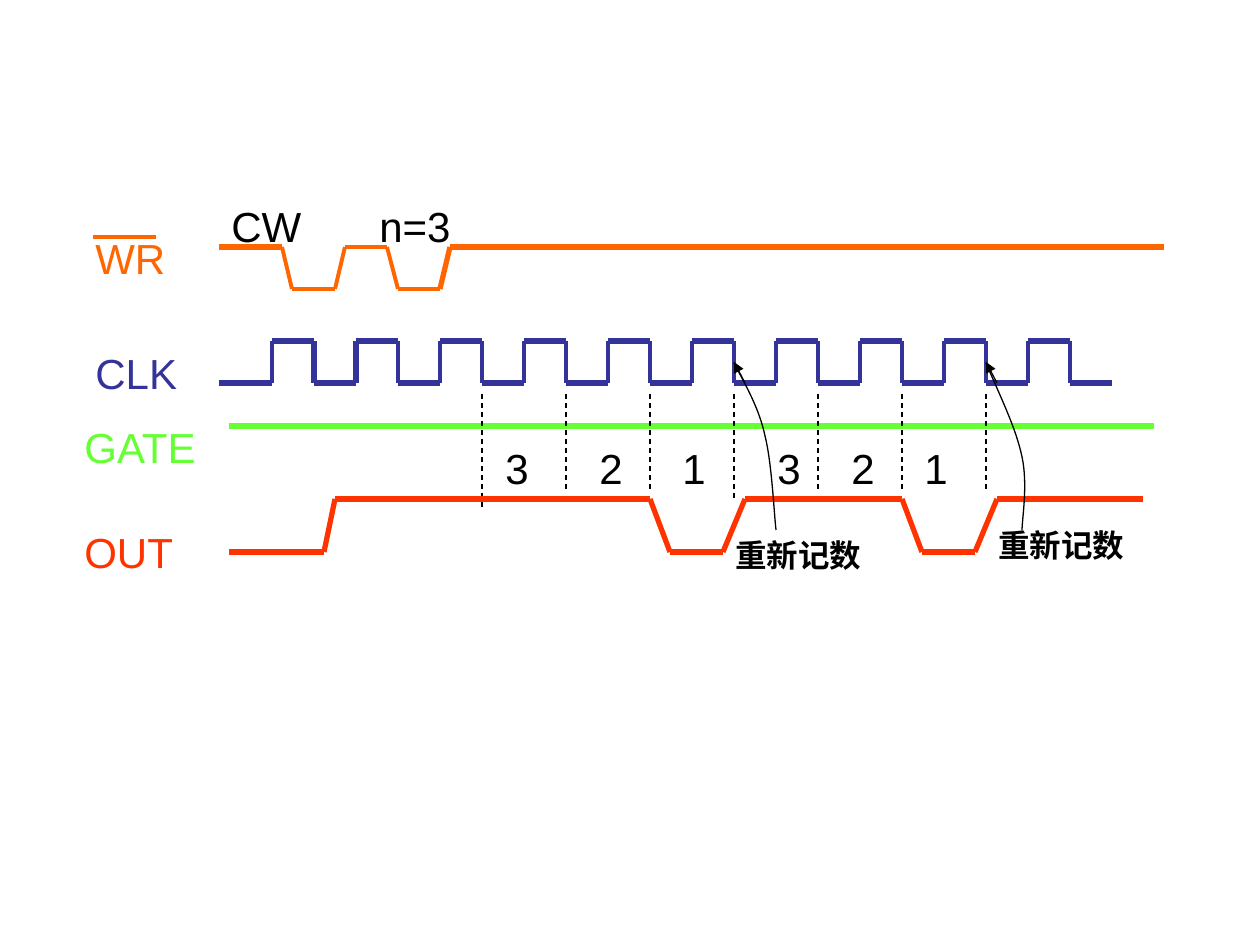
"""Draw a counter timing diagram with WR, CLK, GATE and OUT signals."""
from dataclasses import dataclass
from itertools import pairwise

from lxml import etree
from pptx import Presentation
from pptx import util as u
from pptx.dml.color import RGBColor
from pptx.enum import dml, text
from pptx.oxml.ns import qn


@dataclass(frozen=True)
class Theme:
    font: str = "Arial"
    wr: str = "FF6600"
    clk: str = "333399"
    gate: str = "66FF33"
    out: str = "FF3300"
    ink: str = "000000"
    label_size: int = 24
    note_size: int = 18
    thick: float = 3
    medium: float = 2.25
    thin: float = 0.75


class Diagram:
    SCALE = u.Inches(1) / 126

    def __init__(self, slide, theme):
        self.shapes = slide.shapes
        self.theme = theme

    def emu(self, *lengths):
        return [round(length * self.SCALE) for length in lengths]

    def line(self, start, end, color, width, dashed=False, arrow=False):
        edge = self.shapes.add_connector(1, *self.emu(*start, *end))
        edge.line.color.rgb = RGBColor.from_string(color)
        edge.line.width = u.Pt(width)
        if dashed:
            edge.line.dash_style = dml.MSO_LINE.DASH
        properties = edge._element.spPr
        if arrow:
            etree.SubElement(properties.find(qn("a:ln")), qn("a:tailEnd"), type="triangle")
        etree.SubElement(properties, qn("a:effectLst"))

    def signal(self, points, color, widths=None):
        segments = list(pairwise(points))
        for (start, end), width in zip(segments, widths or [self.theme.thick] * len(segments)):
            self.line(start, end, color, width)

    def label(self, words, left, top, width, color, note=False):
        size = self.theme.note_size if note else self.theme.label_size
        box = self.shapes.add_textbox(*self.emu(left, top, width, 50 if note else 63))
        frame = box.text_frame
        frame.word_wrap = True
        frame.auto_size = text.MSO_AUTO_SIZE.SHAPE_TO_FIT_TEXT
        paragraph = frame.paragraphs[0]
        paragraph.text = words
        paragraph.space_before = u.Pt(size * 0.625)
        paragraph.font.name = self.theme.font
        paragraph.font.size = u.Pt(size)
        paragraph.font.bold = note
        paragraph.font.color.rgb = RGBColor.from_string(color)

    def curve(self, start, controls):
        builder = self.shapes.build_freeform(*start, scale=self.SCALE)
        builder.add_line_segments(controls, close=False)
        shape = builder.convert_to_shape()
        shape.shadow.inherit = False
        shape.fill.background()
        shape.line.color.rgb = RGBColor.from_string(self.theme.ink)
        shape.line.width = u.Pt(self.theme.thin)
        outline = next(shape._element.iter(qn("a:path")))
        steps = outline.findall(qn("a:lnTo"))
        for first in range(0, len(steps), 3):
            bezier = etree.SubElement(outline, qn("a:cubicBezTo"))
            for step in steps[first:first + 3]:
                bezier.append(step[0])
                outline.remove(step)


def draw_wr(diagram):
    theme = diagram.theme
    high, low = 247, 289
    points = [(219, high), (282, high), (292, low), (335, low), (345, high),
              (387, high), (398, low), (440, low), (450, high), (1164, high)]
    widths = [theme.thick] + [theme.medium] * 6 + [theme.thick] * 2
    diagram.signal(points, theme.wr, widths)
    diagram.line((93, 237), (156, 237), theme.wr, theme.medium)


def draw_clk(diagram, first_edge, half_period):
    theme = diagram.theme
    levels = (383, 341)
    points, widths = [(219, levels[0])], []
    for edge in range(20):
        x = first_edge + edge * half_period
        points += [(x, levels[edge % 2]), (x, levels[1 - edge % 2])]
        widths += [theme.thick, theme.thick if edge in (1, 2) else theme.medium]
    points.append((first_edge + 20 * half_period, levels[0]))
    diagram.signal(points, theme.clk, widths + [theme.thick])


def draw_out(diagram, reload_starts):
    high, low = 499, 552
    points = [(229, low), (324, low), (335, high)]
    for x in reload_starts:
        points += [(x, high), (x + 20, low), (x + 73, low), (x + 95, high)]
    diagram.signal(points + [(1143, high)], diagram.theme.out)


def main():
    deck = Presentation()
    deck.slide_width, deck.slide_height = u.Inches(10), u.Inches(7.5)
    theme = Theme()
    diagram = Diagram(deck.slides.add_slide(deck.slide_layouts[6]), theme)

    first_edge, half_period = 272, 42
    first_count = first_edge + 5 * half_period
    draw_wr(diagram)
    draw_clk(diagram, first_edge, half_period)
    diagram.line((229, 426), (1154, 426), theme.gate, theme.thick)
    for index, bottom in enumerate((509, 489, 489, 499, 489, 489, 489)):
        x = first_count + index * 2 * half_period
        diagram.line((x, 394), (x, bottom), theme.ink, theme.thin, dashed=True)
    draw_out(diagram, [first_count + cycle * half_period for cycle in (4, 10)])

    for words, left, top, width, color in (
        ("WR", 83, 226, 116, theme.wr),
        ("CLK", 83, 341, 126, theme.clk),
        ("GATE", 72, 415, 147, theme.gate),
        ("OUT", 72, 520, 126, theme.out),
        ("CW", 219, 194, 105, theme.ink),
        ("n=3", 367, 194, 126, theme.ink),
    ):
        diagram.label(words, left, top, width, color)
    for count, left in zip("321321", (493, 587, 670, 765, 839, 912)):
        diagram.label(count, left, 436, 42, theme.ink)

    for x, note_left, note_top, controls in (
        (734, 723, 530, [(746, 386), (759, 408), (765, 436),
                         (772, 464), (774, 514), (776, 530)]),
        (986, 986, 520, [(1000, 396), (1016, 428), (1022, 457),
                         (1028, 485), (1022, 519), (1022, 530)]),
    ):
        diagram.label("重新记数", note_left, note_top, 158, theme.ink, note=True)
        diagram.curve((x, 363), controls)
        diagram.line((x + 11, 383), (x, 362), theme.ink, theme.thin, arrow=True)

    deck.save("out.pptx")


if __name__ == "__main__":
    main()
